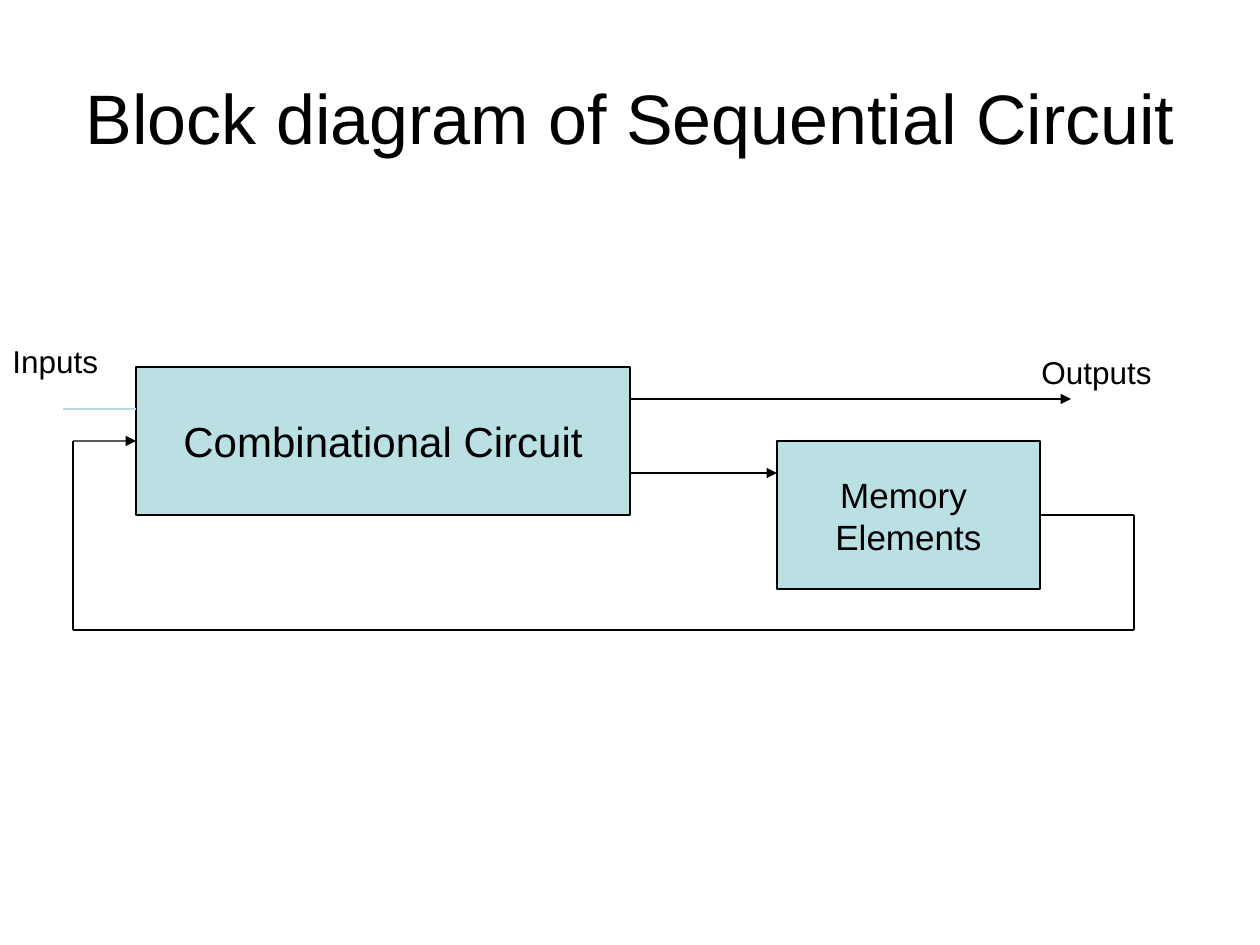
from itertools import pairwise

from lxml import etree
from pptx import Presentation
from pptx import util as u
from pptx.dml.color import RGBColor
from pptx.enum import shapes, text
from pptx.oxml.ns import qn

SCALE = u.Inches(1) / 126
COLORS = {"ink": "000000", "block": "BBE0E3", "input": "B6DCDF"}
FONT = "Arial"
RIGHT, LEFT = 3, 1


def px(*lengths):
    return [u.Emu(round(n * SCALE)) for n in lengths]


def rgb(name):
    return RGBColor.from_string(COLORS[name])


def write(sp, lines, size, frame, align):
    """Fill a shape's text frame, one paragraph per line."""
    tf = sp.text_frame
    for name, value in frame.items():
        setattr(tf, name, value)
    for i, line in enumerate(lines):
        p = tf.add_paragraph() if i else tf.paragraphs[0]
        p.alignment = align
        r = p.add_run()
        r.text = line
        for name, value in {"name": FONT, "size": u.Pt(size)}.items():
            setattr(r.font, name, value)
        r.font.color.rgb = rgb("ink")


def add_title(s, box, line):
    frame = {"word_wrap": True, "vertical_anchor": text.MSO_ANCHOR.MIDDLE}
    write(s.shapes.add_textbox(*px(*box)), [line], 40, frame, text.PP_ALIGN.CENTER)


def add_label(s, box, line):
    frame = {"word_wrap": False, "auto_size": text.MSO_AUTO_SIZE.SHAPE_TO_FIT_TEXT}
    write(s.shapes.add_textbox(*px(*box)), [line], 18, frame, text.PP_ALIGN.LEFT)


def add_block(s, box, lines, size):
    sp = s.shapes.add_shape(shapes.MSO_SHAPE.RECTANGLE, *px(*box))
    sp.shadow.inherit = False
    sp.fill.solid()
    sp.fill.fore_color.rgb = rgb("block")
    sp.line.color.rgb = rgb("ink")
    sp.line.width = u.Pt(0.75)
    frame = {"word_wrap": False, "vertical_anchor": text.MSO_ANCHOR.MIDDLE}
    write(sp, lines, size, frame, text.PP_ALIGN.CENTER)
    return sp


def add_wire(s, start, end, color="ink", arrow=False):
    wire = s.shapes.add_connector(shapes.MSO_CONNECTOR.STRAIGHT, *px(*start, *end))
    wire.line.color.rgb = rgb(color)
    wire.line.width = u.Pt(0.75)
    if arrow:
        ln = wire._element.spPr.find(qn("a:ln"))
        etree.SubElement(ln, qn("a:tailEnd"), type="triangle")
    etree.SubElement(wire._element.spPr, qn("a:effectLst"))
    return wire


def add_feedback(s, points, source, target):
    """Chain wires through the points, from source's right to target's left."""
    legs = list(pairwise(points))
    wires = [add_wire(s, *leg, arrow=leg is legs[-1]) for leg in legs]
    wires[0].begin_connect(source, RIGHT)
    wires[-1].end_connect(target, LEFT)


def main():
    prs = Presentation()
    prs.slide_width, prs.slide_height = px(1260, 945)
    s = prs.slides.add_slide(prs.slide_layouts[6])

    add_title(s, (63, 38, 1134, 158), "Block diagram of Sequential Circuit")
    circuit = add_block(s, (136, 367, 494, 148), ["Combinational Circuit"], 24)
    memory = add_block(s, (777, 441, 263, 148), ["Memory ", "Elements"], 20)

    add_wire(s, (630, 399), (1071, 399), arrow=True)
    add_wire(s, (630, 473), (777, 473), arrow=True)
    loop = [(1040, 515), (1134, 515), (1134, 630), (73, 630), (73, 441), (136, 441)]
    add_feedback(s, loop, memory, circuit)

    add_label(s, (0, 336, 114, 50), "Inputs")
    add_label(s, (1029, 347, 139, 50), "Outputs")
    add_wire(s, (63, 409), (136, 409), color="input")
    prs.save("out.pptx")


if __name__ == "__main__":
    main()
